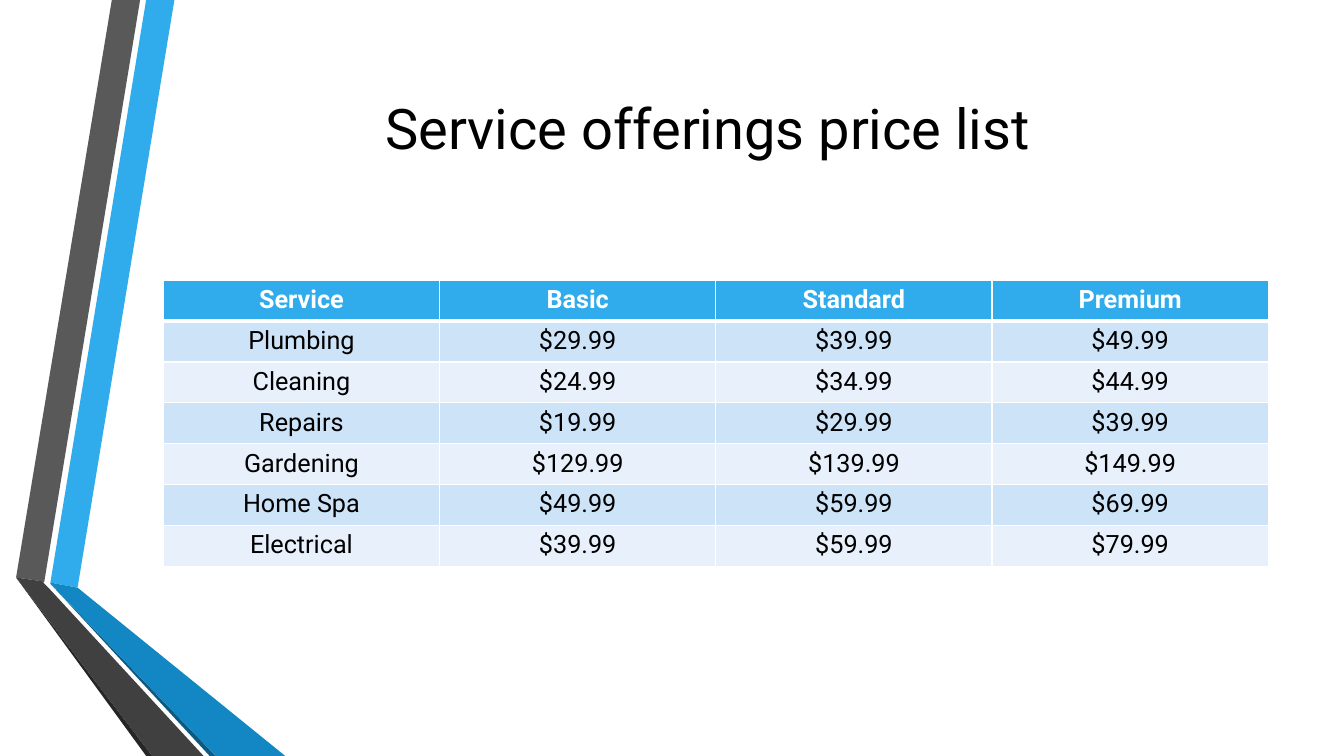
import pptx
import pptx.dml.color
import pptx.enum.text
import pptx.oxml
import pptx.oxml.ns
import pptx.util
from pptx.dml.color import RGBColor
from pptx.util import Inches

WHITE = RGBColor(0xFF, 0xFF, 0xFF)
BLACK = RGBColor(0x00, 0x00, 0x00)
BLUE = RGBColor(0x30, 0xAC, 0xEC)
BLUE_FOLD = RGBColor(0x12, 0x87, 0xC3)
BLUE_EDGE = RGBColor(0x0C, 0x5A, 0x82)
GRAY = RGBColor(0x59, 0x59, 0x59)
GRAY_FOLD = RGBColor(0x40, 0x40, 0x40)
GRAY_EDGE = RGBColor(0x26, 0x26, 0x26)
BAND_DARK = RGBColor(0xCD, 0xE3, 0xF8)
BAND_LIGHT = RGBColor(0xE8, 0xF1, 0xFB)
FONT = "Roboto"

RIBBONS = [
    (BLUE, [(0.5, 5.78), (0.77, 5.83), (1.73, 0), (1.45, 0)]),
    (GRAY, [(1.39, 0), (1.11, 0), (0.16, 5.73), (0.44, 5.77)]),
    (GRAY_EDGE, [(0.16, 5.73), (1.45, 7.5), (1.51, 7.5)]),
    (BLUE_EDGE, [(0.5, 5.79), (2.08, 7.5), (2.14, 7.5)]),
    (BLUE_FOLD, [(0.5, 5.79), (2.14, 7.5), (2.83, 7.5), (0.77, 5.83), (0.5, 5.78)]),
    (GRAY_FOLD, [(2.02, 7.5), (0.48, 5.83), (0.43, 5.78), (0.44, 5.77),
                 (0.16, 5.73), (1.51, 7.5)]),
]

PRICES = [
    ("Service", "Basic", "Standard", "Premium"),
    ("Plumbing", "$29.99", "$39.99", "$49.99"),
    ("Cleaning", "$24.99", "$34.99", "$44.99"),
    ("Repairs", "$19.99", "$29.99", "$39.99"),
    ("Gardening", "$129.99", "$139.99", "$149.99"),
    ("Home Spa", "$49.99", "$59.99", "$69.99"),
    ("Electrical", "$39.99", "$59.99", "$79.99"),
]


def write_text(frame, text, size=18, color=BLACK, bold=False):
    """Put one centred line of formatted text in a text frame."""
    para = frame.paragraphs[0]
    para.alignment = pptx.enum.text.PP_ALIGN.CENTER
    span = para.add_run()
    span.text = text
    span.font.name = FONT
    span.font.size = pptx.util.Pt(size)
    span.font.bold = bold
    span.font.color.rgb = color


def set_borders(cell, bottom):
    """Draw white borders around a cell, the bottom one of the given points."""
    properties = cell._tc.get_or_add_tcPr()
    for index, (side, points) in enumerate(
            [("L", 1), ("R", 1), ("T", 1), ("B", bottom)]):
        border = pptx.oxml.parse_xml(
            f'<a:ln{side} {pptx.oxml.ns.nsdecls("a")} w="{pptx.util.Pt(points)}">'
            f'<a:solidFill><a:srgbClr val="{WHITE}"/></a:solidFill></a:ln{side}>')
        properties.insert(index, border)


def add_ribbons(page, left, top):
    """Draw the two folded ribbons from the given corner."""
    for color, outline in RIBBONS:
        points = [(Inches(left + x), Inches(top + y)) for x, y in outline]
        builder = page.shapes.build_freeform(*points[0])
        builder.add_line_segments(points[1:], close=True)
        ribbon = builder.convert_to_shape()
        ribbon.shadow.inherit = False
        ribbon.fill.solid()
        ribbon.fill.fore_color.rgb = color
        ribbon.line.fill.background()


def add_title(page, text, left, top, width, height):
    """Place and format the title placeholder."""
    title = page.shapes.title
    title.left, title.top = Inches(left), Inches(top)
    title.width, title.height = Inches(width), Inches(height)
    title.text_frame.vertical_anchor = pptx.enum.text.MSO_ANCHOR.MIDDLE
    write_text(title.text_frame, text, size=40)


def add_price_table(page, left, top, width, height):
    """Add the price table with a blue header and banded rows."""
    box = page.shapes.add_table(len(PRICES), len(PRICES[0]), Inches(left),
                                Inches(top), Inches(width), Inches(height))
    for row, texts in enumerate(PRICES):
        header = row == 0
        band = BAND_DARK if row % 2 else BAND_LIGHT
        for column, text in enumerate(texts):
            cell = box.table.cell(row, column)
            cell.fill.solid()
            cell.fill.fore_color.rgb = BLUE if header else band
            set_borders(cell, bottom=3 if header else 1)
            write_text(cell.text_frame, text, bold=header,
                       color=WHITE if header else BLACK)


def main():
    """Build and save the price list deck."""
    deck = pptx.Presentation()
    deck.slide_width, deck.slide_height = Inches(13.33), Inches(7.5)
    page = deck.slides.add_slide(deck.slide_layouts[5])
    add_ribbons(page, 0, 0)
    add_title(page, "Service offerings price list", 1.54, 0.73, 10.96, 1.06)
    add_price_table(page, 1.62, 2.78, 10.96, 2.84)
    deck.save("out.pptx")


if __name__ == "__main__":
    main()
